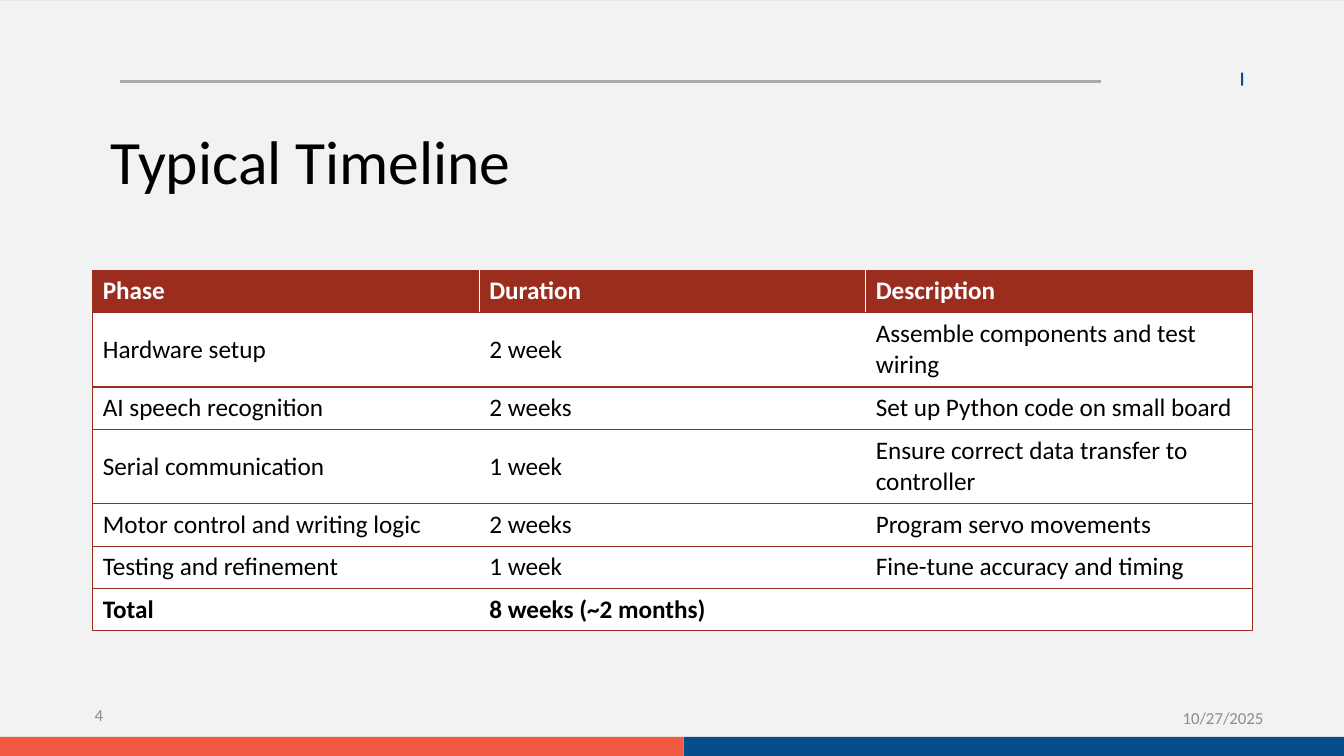
from pptx import Presentation, util as u
from pptx.dml.color import RGBColor
from pptx.enum import shapes, text
from lxml import etree
from pptx.oxml.ns import qn

BACK = RGBColor(0xE9, 0xE5, 0xDC)
PANEL = RGBColor(0xF1, 0xF2, 0xF2)
BLUE = RGBColor(0x06, 0x4E, 0x8B)
ORANGE = RGBColor(0xF1, 0x5A, 0x41)
RULE = RGBColor(0xA7, 0xA9, 0xAC)
GRAY = RGBColor(0x8C, 0x8C, 0x8C)
RED = RGBColor(0x9B, 0x2D, 0x1F)
WHITE = RGBColor(0xFF, 0xFF, 0xFF)
BLACK = RGBColor(0, 0, 0)


def write(tf, words, size=18, color=BLACK, bold=False,
          align=text.PP_ALIGN.LEFT, anchor=text.MSO_ANCHOR.MIDDLE):
    tf.word_wrap = True
    tf.vertical_anchor = anchor
    p = tf.paragraphs[0]
    p.alignment = align
    r = p.add_run()
    r.text = words
    r.font.name = "Calibri"
    r.font.size = u.Pt(size)
    r.font.bold = bold
    r.font.color.rgb = color
    return p


def add_border(cell, side):
    ln = etree.SubElement(cell._tc.get_or_add_tcPr(), qn(f"a:ln{side}"), w=str(u.Pt(1)))
    fill = etree.SubElement(ln, qn("a:solidFill"))
    etree.SubElement(fill, qn("a:srgbClr"), val=str(RED))


prs = Presentation()
prs.slide_width, prs.slide_height = u.Inches(13.33), u.Inches(7.5)
s = prs.slides.add_slide(prs.slide_layouts[5])
s.background.fill.solid()
s.background.fill.fore_color.rgb = BACK

# Panel, accent tick and footer bars
for x, y, w, h, color in [
    (0, 0.01, 13.33, 7.49, PANEL),
    (12.31, 0.72, 0.02, 0.13, BLUE),
    (6.78, 7.31, 6.55, 0.19, BLUE),
    (0, 7.31, 6.78, 0.19, ORANGE),
]:
    sp = s.shapes.add_shape(shapes.MSO_SHAPE.RECTANGLE, *map(u.Inches, (x, y, w, h)))
    sp.shadow.inherit = False
    sp.fill.solid()
    sp.fill.fore_color.rgb = color
    sp.line.fill.background()

# Header rule
rule = s.shapes.add_connector(shapes.MSO_CONNECTOR.STRAIGHT,
                              *map(u.Inches, (1.19, 0.81, 10.92, 0.81)))
rule.line.color.rgb = RULE
rule.line.width = u.Pt(2.25)
etree.SubElement(rule._element.spPr, qn("a:effectLst"))

# Date and slide number
for words, x, y, w, h, align in [
    ("10/27/2025", 11.63, 6.9, 1.19, 0.44, text.PP_ALIGN.LEFT),
    ("4", 0, 6.88, 1.12, 0.43, text.PP_ALIGN.RIGHT),
]:
    tb = s.shapes.add_textbox(*map(u.Inches, (x, y, w, h)))
    write(tb.text_frame, words, size=12, color=GRAY, align=align)

# Title, brought in front of the panel
title = s.shapes.title
title.left, title.top = u.Inches(1), u.Inches(1.25)
title.width, title.height = u.Inches(11.5), u.Inches(1.45)
s.shapes._spTree.append(title._element)
p = write(title.text_frame, "Typical Timeline", size=44, anchor=text.MSO_ANCHOR.TOP)
p.line_spacing = 0.9

# Timeline table
ROWS = [
    ("Phase", "Duration", "Description"),
    ("Hardware setup", "2 week", "Assemble components and test wiring"),
    ("AI speech recognition", "2 weeks", "Set up Python code on small board"),
    ("Serial communication", "1 week", "Ensure correct data transfer to controller"),
    ("Motor control and writing logic", "2 weeks", "Program servo movements"),
    ("Testing and refinement", "1 week", "Fine-tune accuracy and timing"),
    ("Total", "8 weeks (~2 months)", ""),
]
HEIGHTS = [0.42, 0.74, 0.42, 0.74, 0.42, 0.42, 0.42]
SIDES = ["LTB", "TB", "RTB"]
tbl = s.shapes.add_table(len(ROWS), 3, *map(u.Inches, (0.92, 2.68, 11.5, 3.58))).table
for col in tbl.columns:
    col.width = u.Inches(11.5 / 3)
for i, (row, height) in enumerate(zip(ROWS, HEIGHTS)):
    tbl.rows[i].height = u.Inches(height)
    header = i == 0
    for j, words in enumerate(row):
        cell = tbl.cell(i, j)
        cell.vertical_anchor = text.MSO_ANCHOR.MIDDLE
        for side in SIDES[j]:
            add_border(cell, side)
        cell.fill.solid()
        cell.fill.fore_color.rgb = RED if header else WHITE
        if words:
            write(cell.text_frame, words, color=WHITE if header else BLACK,
                  bold=header or i == len(ROWS) - 1)

prs.save("out.pptx")
